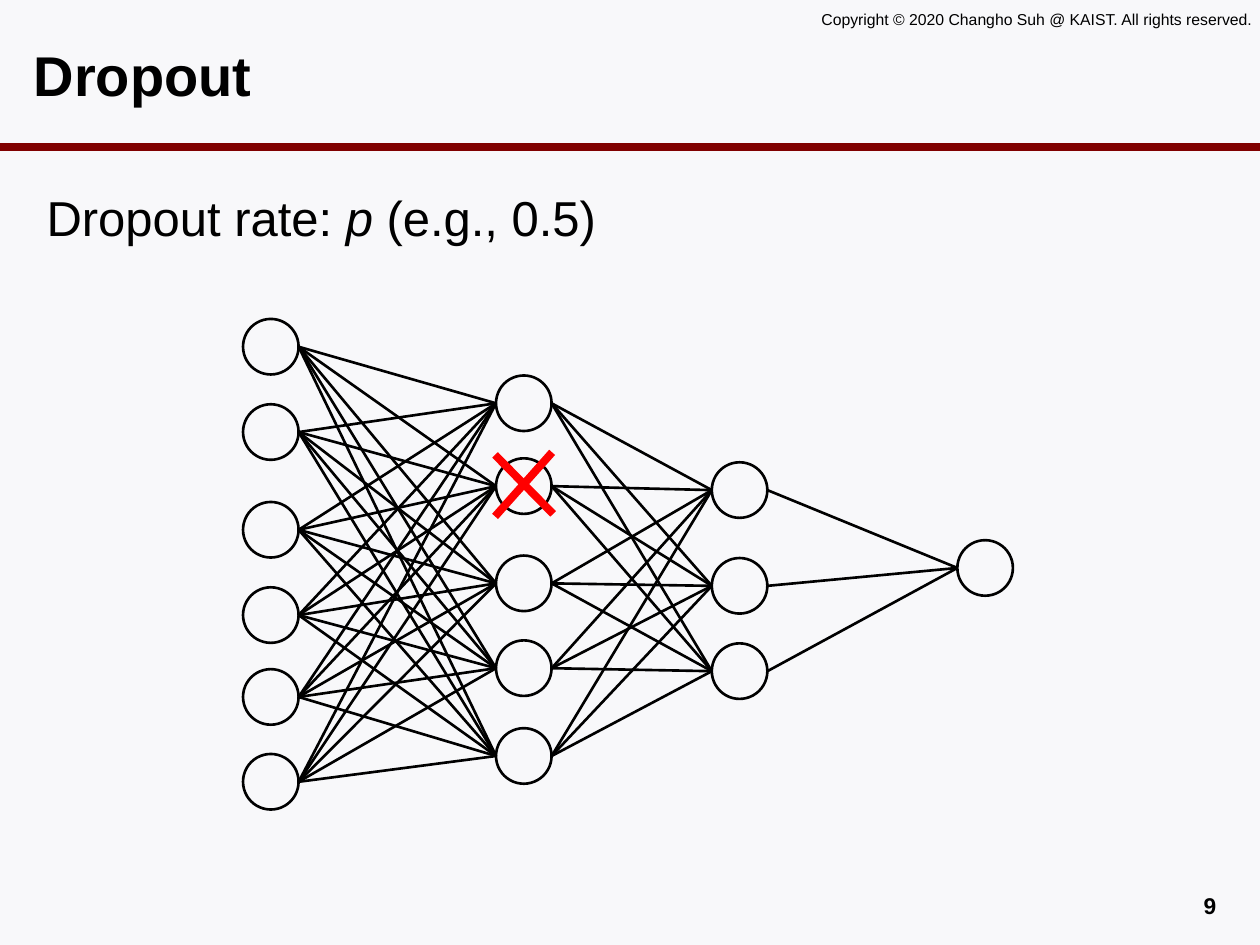
from itertools import product

from lxml import etree
from pptx import Presentation
from pptx.dml.color import RGBColor
from pptx.enum.shapes import MSO_CONNECTOR, MSO_SHAPE
from pptx.enum.text import MSO_ANCHOR, MSO_AUTO_SIZE, PP_ALIGN
from pptx.oxml.ns import qn
from pptx.util import Cm, Pt

STRAIGHT = MSO_CONNECTOR.STRAIGHT
OVAL = MSO_SHAPE.OVAL
TOP, MIDDLE = MSO_ANCHOR.TOP, MSO_ANCHOR.MIDDLE
LEFT, RIGHT = PP_ALIGN.LEFT, PP_ALIGN.RIGHT
FIT_SHAPE = MSO_AUTO_SIZE.SHAPE_TO_FIT_TEXT

COLORS = {"background": "F8F8FA", "ink": "000000", "rule": "800000", "cross": "FF0000"}
FONT = "Arial"
NODE = 1.12
LAYERS = [
    (4.9, [6.99, 8.71, 10.68, 12.4, 14.05, 15.76]),
    (10.0, [8.13, 9.8, 11.76, 13.47, 15.24]),
    (14.35, [9.88, 11.81, 13.53]),
    (19.3, [11.45]),
]
CROSS = [(9.98, 10.41, 11.13, 9.12), (9.98, 9.17, 11.15, 10.36)]


def rgb(name):
    return RGBColor.from_string(COLORS[name])


def add_text(s, box, runs, size, bold=False, align=LEFT, anchor=TOP, wrap=True):
    tf = s.shapes.add_textbox(*map(Cm, box)).text_frame
    tf.word_wrap = wrap
    if not wrap:
        tf.auto_size = FIT_SHAPE
    tf.vertical_anchor = anchor
    p = tf.paragraphs[0]
    p.alignment = align
    for text, italic in runs:
        r = p.add_run()
        r.text = text
        r.font.name = FONT
        r.font.size = Pt(size)
        r.font.bold = bold
        r.font.italic = italic
        r.font.color.rgb = rgb("ink")


def add_line(s, ends, color="ink", width=1.5):
    line = s.shapes.add_connector(STRAIGHT, *map(Cm, ends))
    line.line.color.rgb = rgb(color)
    line.line.width = Pt(width)
    etree.SubElement(line._element.spPr, qn("a:effectLst"))


def add_node(s, x, y):
    sp = s.shapes.add_shape(OVAL, Cm(x), Cm(y - NODE / 2), Cm(NODE), Cm(NODE))
    sp.shadow.inherit = False
    sp.fill.background()
    sp.line.color.rgb = rgb("ink")
    sp.line.width = Pt(1.5)


def add_network(s):
    for (x1, starts), (x2, ends) in zip(LAYERS, LAYERS[1:]):
        for y1, y2 in product(starts, ends):
            add_line(s, (x1 + NODE, y1, x2, y2))
    for x, centers in LAYERS:
        for y in centers:
            add_node(s, x, y)
    for ends in CROSS:
        add_line(s, ends, "cross", 4.5)


def main():
    prs = Presentation()
    prs.slide_width, prs.slide_height = Cm(25.4), Cm(19.05)
    s = prs.slides.add_slide(prs.slide_layouts[6])
    s.background.fill.solid()
    s.background.fill.fore_color.rgb = rgb("background")

    add_line(s, (0, 2.97, 25.4, 2.97), "rule", 4.5)
    add_text(s, (16.31, 0.08, 9.47, 0.64),
             [("Copyright © 2020 Changho Suh @ KAIST. All rights reserved.", False)],
             9, wrap=False)
    add_text(s, (0.43, 0.43, 24.28, 2.11), [("Dropout", False)], 32, bold=True, anchor=MIDDLE)
    add_text(s, (18.85, 17.86, 5.92, 0.69), [("9", False)], 13, bold=True, align=RIGHT)
    add_text(s, (0.69, 3.66, 16.81, 1.63),
             [("Dropout rate: ", False), ("p ", True), ("(e.g., 0.5)", False)], 28)
    add_network(s)
    prs.save("out.pptx")


if __name__ == "__main__":
    main()
